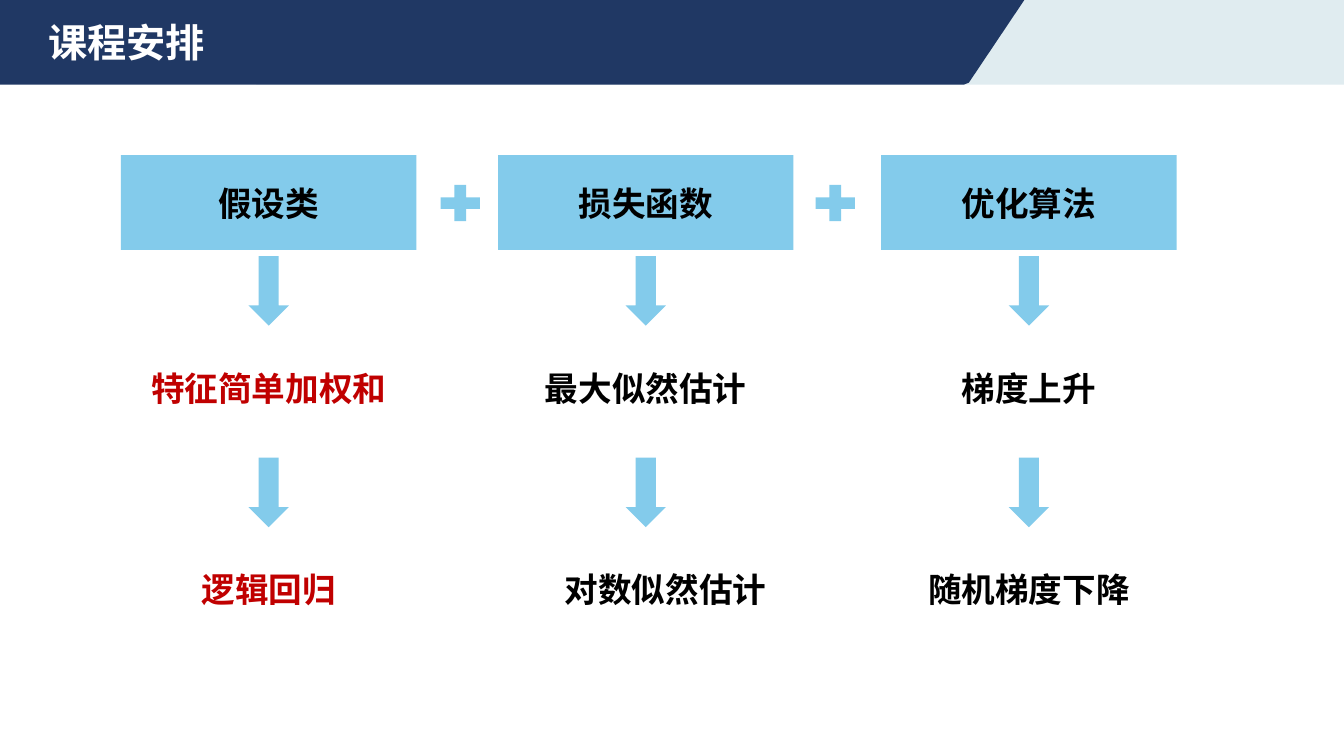
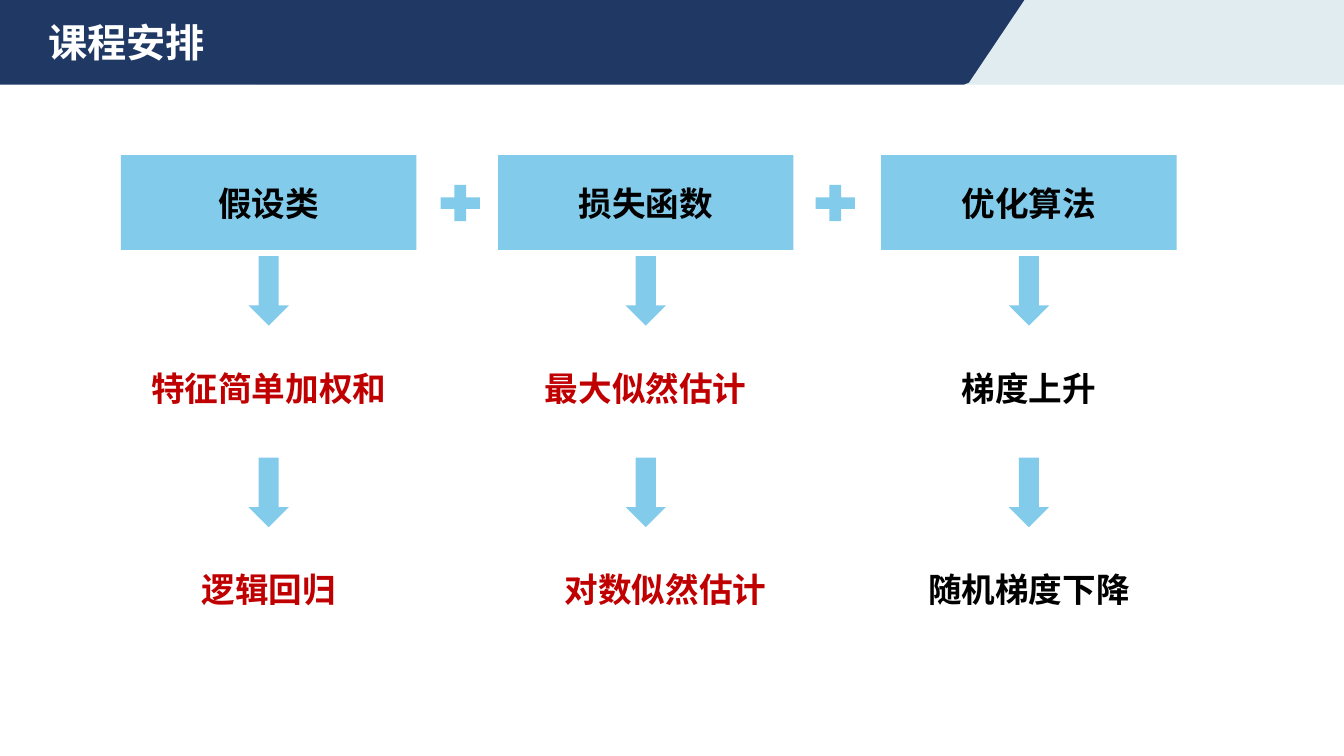
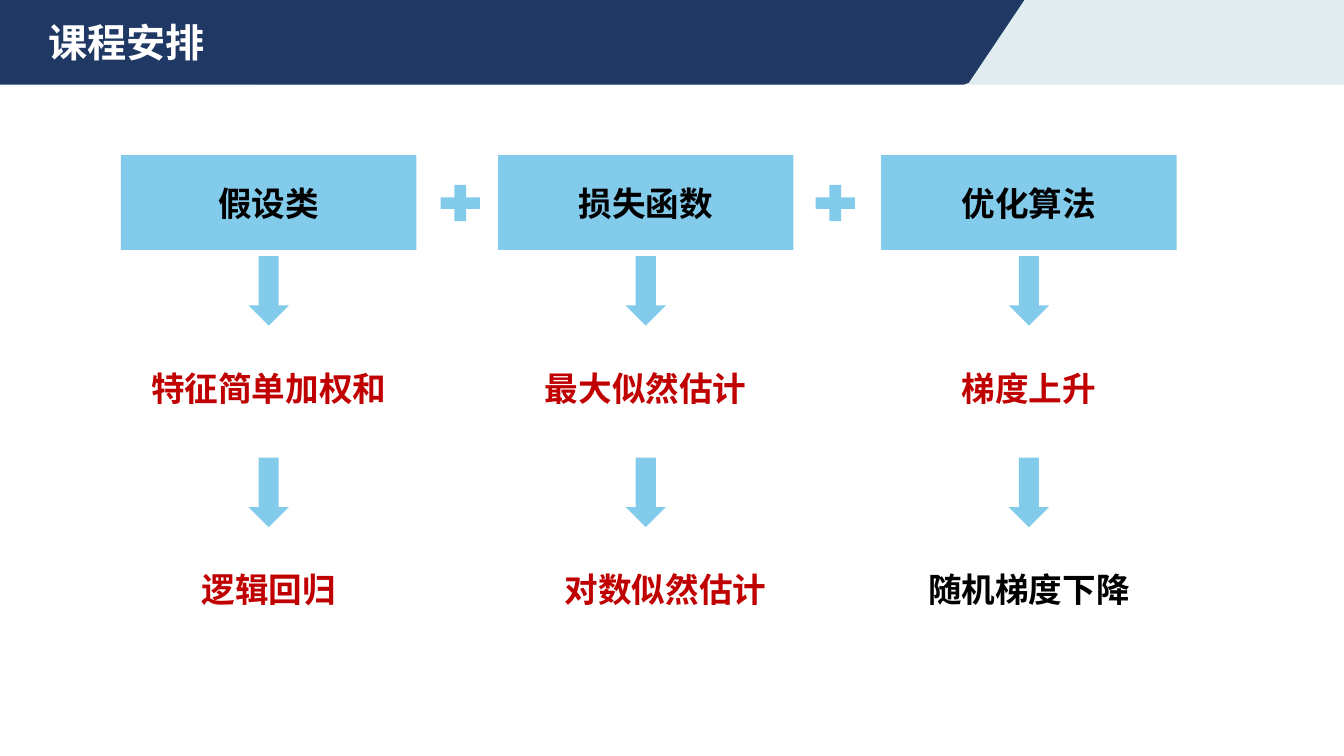
from dataclasses import dataclass

from pptx import Presentation
from pptx.dml.color import RGBColor
from pptx.enum.shapes import MSO_SHAPE
from pptx.enum.text import MSO_ANCHOR, MSO_AUTO_SIZE, PP_ALIGN
from pptx.oxml.ns import qn
from pptx.shapes.autoshape import Shape
from pptx.slide import Slide
from pptx.util import Inches, Pt
from lxml import etree

NAVY, PALE, SKY = "203864", "E0ECF0", "83CBEB"
RED, BLACK, WHITE = "C00000", "000000", "FFFFFF"
CJK_FONT, LATIN_FONT = "Noto Sans CJK SC", "Roboto"
TITLE = "课程安排"

BOX_WIDTH, BOX_HEIGHT = 2.93, 0.94
HEADING_TOP, METHOD_TOP, OUTCOME_TOP = 1.54, 3.38, 5.37
ARROW_WIDTH, ARROW_HEIGHT = 0.4, 0.69
ARROW_TOPS = (2.54, 4.54)
PLUS_LEFTS = (4.3, 8.02)
PLUS_TOP, PLUS_WIDTH, PLUS_HEIGHT = 1.77, 0.53, 0.49


@dataclass(frozen=True)
class Band:
    color: str
    points: tuple[tuple[float, float], ...]


@dataclass(frozen=True)
class Column:
    left: float
    heading: str
    method: str
    outcome: str
    outcome_left: float
    outcome_width: float


@dataclass(frozen=True)
class Stage:
    font: str
    highlighted: int


BANDS = (
    Band(PALE, ((3.27, 0), (3.21, 0.02), (2.54, 0.84), (13.33, 0.84), (13.33, 0))),
    Band(NAVY, ((0, 0), (10.16, 0), (9.61, 0.82), (9.56, 0.84), (0, 0.84))),
)
COLUMNS = (
    Column(1.2, "假设类", "特征简单加权和", "逻辑回归", 1.2, BOX_WIDTH),
    Column(4.94, "损失函数", "最大似然估计", "对数似然估计", 5.38, 2.44),
    Column(8.74, "优化算法", "梯度上升", "随机梯度下降", 8.55, 3.31),
)
STAGES = (Stage(CJK_FONT, 2), Stage(CJK_FONT, 4), Stage(LATIN_FONT, 5))


def rgb(color: str) -> RGBColor:
    return RGBColor.from_string(color)


def paint(shape: Shape, color: str) -> None:
    shape.shadow.inherit = False
    shape.fill.solid()
    shape.fill.fore_color.rgb = rgb(color)
    shape.line.fill.background()


def write(shape: Shape, text: str, font: str, size: int, color: str) -> None:
    run = shape.text_frame.paragraphs[0].add_run()
    run.text = text
    run.font.name = font
    run.font.size = Pt(size)
    run.font.bold = True
    run.font.color.rgb = rgb(color)
    etree.SubElement(run.font._element, qn("a:ea"), typeface=CJK_FONT)


def add_band(slide: Slide, band: Band) -> None:
    points = [(Inches(x), Inches(y)) for x, y in band.points]
    builder = slide.shapes.build_freeform(*points[0])
    builder.add_line_segments(points[1:], close=True)
    paint(builder.convert_to_shape(), band.color)


def add_title(slide: Slide, font: str) -> None:
    box = slide.shapes.add_textbox(Inches(0.38), Inches(0.13), Inches(1.77), Inches(0.57))
    box.text_frame.word_wrap = False
    box.text_frame.auto_size = MSO_AUTO_SIZE.SHAPE_TO_FIT_TEXT
    write(box, TITLE, font, 28, WHITE)


def add_symbol(slide: Slide, kind: MSO_SHAPE, left: float, top: float,
               width: float, height: float) -> Shape:
    shape = slide.shapes.add_shape(kind, Inches(left), Inches(top), Inches(width), Inches(height))
    paint(shape, SKY)
    return shape


def center_label(shape: Shape, text: str, font: str, color: str) -> None:
    frame = shape.text_frame
    frame.word_wrap = True
    frame.vertical_anchor = MSO_ANCHOR.MIDDLE
    frame.paragraphs[0].alignment = PP_ALIGN.CENTER
    write(shape, text, font, 24, color)


def add_label(slide: Slide, text: str, left: float, top: float, width: float,
              font: str, color: str) -> None:
    box = slide.shapes.add_textbox(Inches(left), Inches(top), Inches(width), Inches(BOX_HEIGHT))
    center_label(box, text, font, color)


def add_column(slide: Slide, column: Column, font: str,
               method_color: str, outcome_color: str) -> None:
    heading = add_symbol(slide, MSO_SHAPE.RECTANGLE, column.left, HEADING_TOP,
                         BOX_WIDTH, BOX_HEIGHT)
    center_label(heading, column.heading, font, BLACK)
    add_label(slide, column.method, column.left, METHOD_TOP, BOX_WIDTH, font, method_color)
    add_label(slide, column.outcome, column.outcome_left, OUTCOME_TOP,
              column.outcome_width, font, outcome_color)
    arrow_left = column.left + (BOX_WIDTH - ARROW_WIDTH) / 2
    for top in ARROW_TOPS:
        add_symbol(slide, MSO_SHAPE.DOWN_ARROW, arrow_left, top, ARROW_WIDTH, ARROW_HEIGHT)


def build_slide(deck: Presentation, stage: Stage) -> None:
    slide = deck.slides.add_slide(deck.slide_layouts[6])
    for band in BANDS:
        add_band(slide, band)
    add_title(slide, stage.font)
    for index, column in enumerate(COLUMNS):
        method_color, outcome_color = (
            RED if step < stage.highlighted else BLACK
            for step in (2 * index, 2 * index + 1)
        )
        add_column(slide, column, stage.font, method_color, outcome_color)
    for left in PLUS_LEFTS:
        add_symbol(slide, MSO_SHAPE.MATH_PLUS, left, PLUS_TOP, PLUS_WIDTH, PLUS_HEIGHT)


def main() -> None:
    deck = Presentation()
    deck.slide_width, deck.slide_height = Inches(13.33), Inches(7.5)
    for stage in STAGES:
        build_slide(deck, stage)
    deck.save("out.pptx")


main()
